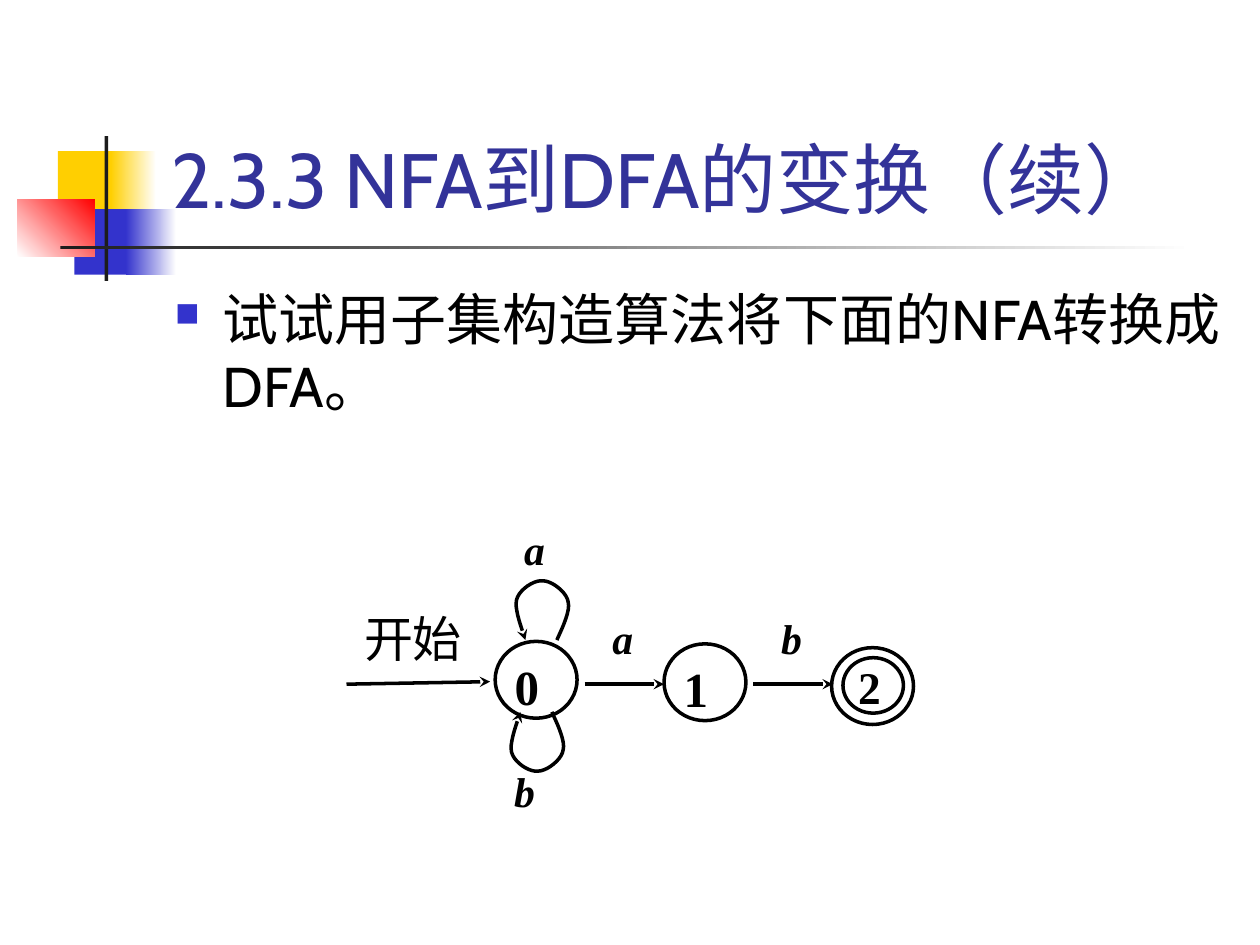
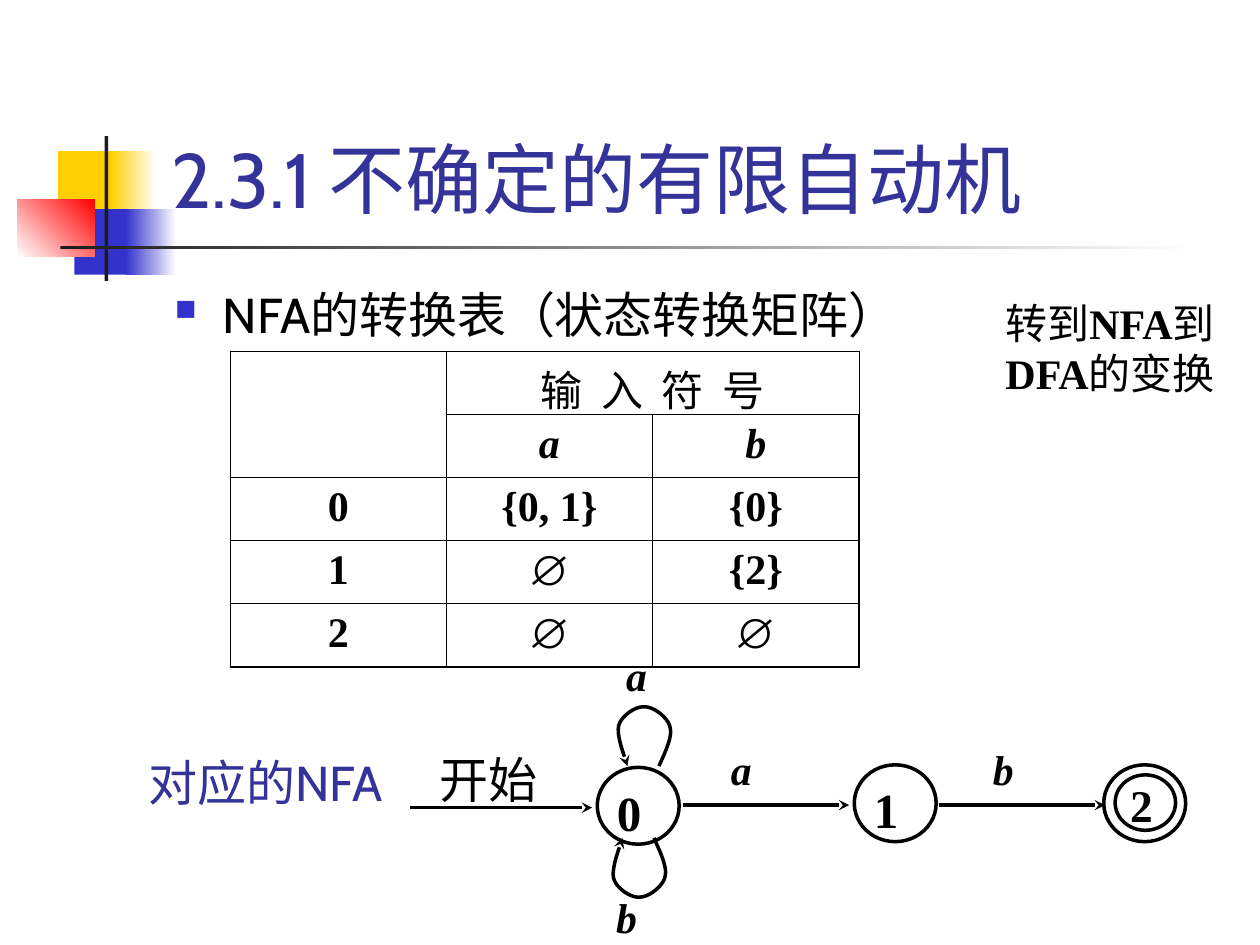
"""Build two slides on nondeterministic and deterministic automata."""
from typing import Any, NamedTuple

from lxml import etree
from pptx import Presentation
from pptx.dml.color import RGBColor
from pptx.enum.shapes import MSO_CONNECTOR, MSO_SHAPE
from pptx.enum.text import MSO_ANCHOR, MSO_AUTO_SIZE, PP_ALIGN
from pptx.oxml.ns import qn
from pptx.util import Inches, Pt

RECT, OVAL = MSO_SHAPE.RECTANGLE, MSO_SHAPE.OVAL
STRAIGHT = MSO_CONNECTOR.STRAIGHT
TOP, BOTTOM = MSO_ANCHOR.TOP, MSO_ANCHOR.BOTTOM
FIXED = MSO_AUTO_SIZE.NONE
LEFT, MIDDLE, JUSTIFY = PP_ALIGN.LEFT, PP_ALIGN.CENTER, PP_ALIGN.JUSTIFY

HUES = {"ink": "000000", "title": "333399", "blue": "3333CC", "gold": "FFCF01",
        "red": "FF0000", "dark": "1C1C1C", "white": "FFFFFF"}
HAN, SANS, SERIF = "Noto Sans CJK SC", "Cabin", "Times New Roman"

HEAD = {"name": SANS, "size": Pt(44), "hue": "title"}
BODY = {"name": SANS, "size": Pt(32)}
WORD = {"name": SERIF, "size": Pt(28)}
STATE = {**WORD, "bold": True}
FINAL = {**STATE, "size": Pt(25.9)}
EDGE = {"name": SERIF, "size": Pt(23.8), "bold": True, "italic": True}
CELL = {"name": SERIF, "size": Pt(24), "bold": True}
FLUSH = {"alignment": LEFT}
EVEN = {"alignment": JUSTIFY}
TIGHT = {"alignment": JUSTIFY, "line_spacing": 0.9}

WIDE = (0.1, 0.05, 0.1, 0.05)
SLIM = (0.06, 0.03, 0.06, 0.03)
RING = (0.06, 0.03, 0.02, 0.05)
CORE = (0.05, 0, 0.01, 0)

Point = tuple[float, float]
Paras = list[list[tuple[str, dict[str, Any]]]]


class Box(NamedTuple):
    """Place and size in inches."""
    x: float
    y: float
    w: float
    h: float


class Band(NamedTuple):
    """A block of the slide frame, fading when it has a second hue."""
    box: Box
    hue: str
    fade: str = ""
    turn: int = 0


class Graph(NamedTuple):
    """Places of the parts of one automaton."""
    states: tuple[Point, Point, Point]
    links: tuple[tuple[Point, Point], ...]
    start: Point
    notes: tuple[Point, Point]


BANDS = (
    Band(Box(0.46, 1.2, 0.48, 0.52), "gold"),
    Band(Box(0.88, 1.2, 0.36, 0.52), "gold", "white"),
    Band(Box(0.59, 1.66, 0.46, 0.52), "blue"),
    Band(Box(1, 1.66, 0.4, 0.52), "blue", "white"),
    Band(Box(0.14, 1.58, 0.61, 0.46), "white", "red", 45),
    Band(Box(0.83, 1.08, 0.03, 1.15), "dark"),
    Band(Box(0.48, 1.95, 9, 0.03), "dark", "white"),
)
LOOP = ((0.49, -0.01), (0.51, -0.06), (0.6, -0.23), (0.58, -0.31),
        (0.57, -0.39), (0.45, -0.48), (0.38, -0.48), (0.31, -0.49),
        (0.19, -0.41), (0.17, -0.33), (0.15, -0.25), (0.22, -0.08), (0.24, -0.01))
FIRST = Graph(((3.93, 5.09), (5.27, 5.11), (6.6, 5.14)),
              (((2.75, 5.43), (3.89, 5.41)), ((4.64, 5.43), (5.27, 5.43)),
               ((5.98, 5.43), (6.61, 5.43))),
              (2.83, 4.8), ((4.8, 4.88), (6.14, 4.88)))
SECOND = Graph(((4.74, 6.09), (6.78, 6.07), (8.76, 6.07)),
               (((3.25, 6.41), (4.7, 6.41)), ((5.42, 6.39), (6.74, 6.39)),
                ((7.45, 6.39), (8.77, 6.39))),
               (3.43, 5.92), ((5.74, 5.92), (7.82, 5.92)))
ROWS = (("", "输 入 符 号", ""), ("", "a", "b"), ("0", "{0, 1}", "{0}"),
        ("1", "∅", "{2}"), ("2", "∅", "∅"))


def tint(hue: str) -> RGBColor:
    """Look up a colour."""
    return RGBColor.from_string(HUES[hue])


def span(box: Box) -> tuple[int, ...]:
    """Turn a box into lengths."""
    return tuple(Inches(v) for v in box)


def dress(thing: Any, form: dict[str, Any]) -> None:
    """Set each format value on an object."""
    for key, value in form.items():
        setattr(thing, key, value)


def pad(thing: Any, gaps: tuple[float, ...]) -> None:
    """Set the four margins."""
    for side, gap in zip(("left", "top", "right", "bottom"), gaps):
        setattr(thing, f"margin_{side}", Inches(gap))


def write(frame: Any, paras: Paras, font: dict[str, Any], form: dict[str, Any]) -> None:
    """Fill a text frame with runs."""
    for i, parts in enumerate(paras):
        para = frame.paragraphs[0] if i == 0 else frame.add_paragraph()
        dress(para, form)
        for text, more in parts:
            run = para.add_run()
            run.text = text
            look = {"hue": "ink", **font, **more}
            run.font.color.rgb = tint(look.pop("hue"))
            dress(run.font, look)
            props = run._r.get_or_add_rPr()
            etree.SubElement(props, qn("a:ea"), typeface=HAN)


def label(slide: Any, box: Box, paras: Paras, font: dict[str, Any],
          form: dict[str, Any], gaps: tuple[float, ...] = SLIM) -> Any:
    """Add a text box."""
    frame = slide.shapes.add_textbox(*span(box)).text_frame
    frame.word_wrap = True
    pad(frame, gaps)
    write(frame, paras, font, form)
    return frame


def point(slide: Any, box: Box, text: str, size: float, gap: float) -> None:
    """Add a text with a square bullet."""
    frame = label(slide, box, [[(text, {})]], {**BODY, "size": Pt(size)},
                  {**FLUSH, "space_before": Pt(gap)}, WIDE)
    props = frame.paragraphs[0]._p.get_or_add_pPr()
    props.set("marL", str(Inches(0.38)))
    props.set("indent", str(-Inches(0.38)))
    paint = etree.SubElement(props, qn("a:buClr"))
    etree.SubElement(paint, qn("a:srgbClr"), val=HUES["blue"])
    etree.SubElement(props, qn("a:buSzPct"), val="60000")
    etree.SubElement(props, qn("a:buChar"), char="■")


def stroke(shape: Any, head: bool = False) -> None:
    """Draw a black outline, with an arrowhead if asked."""
    shape.line.color.rgb = tint("ink")
    shape.line.width = Pt(2)
    if head:
        line = shape._element.spPr.find(qn("a:ln"))
        etree.SubElement(line, qn("a:tailEnd"), type="stealth")


def ring(slide: Any, box: Box, text: str = "", font: dict[str, Any] = STATE,
         form: dict[str, Any] = FLUSH, gaps: tuple[float, ...] = RING) -> None:
    """Add a hollow circle with its number."""
    shape = slide.shapes.add_shape(OVAL, *span(box))
    shape.shadow.inherit = False
    shape.fill.background()
    stroke(shape)
    if text:
        frame = shape.text_frame
        dress(frame, {"word_wrap": True, "vertical_anchor": TOP})
        pad(frame, gaps)
        write(frame, [[(text, {})]], font, form)


def arrow(slide: Any, tail: Point, tip: Point) -> None:
    """Add a straight arrow."""
    line = slide.shapes.add_connector(STRAIGHT, *(Inches(v) for v in tail + tip))
    stroke(line, True)
    etree.SubElement(line._element.spPr, qn("a:effectLst"))


def bend(knots: list[Point], steps: int = 10) -> list[tuple[int, int]]:
    """Trace a chain of cubic curves."""
    trail = [knots[0]]
    for k in range(0, len(knots) - 1, 3):
        for n in range(1, steps + 1):
            t = n / steps
            mix = ((1 - t) ** 3, 3 * t * (1 - t) ** 2, 3 * t * t * (1 - t), t ** 3)
            trail.append(tuple(sum(m * p[axis] for m, p in zip(mix, knots[k:k + 4]))
                               for axis in (0, 1)))
    return [(Inches(x), Inches(y)) for x, y in trail]


def loop(slide: Any, x: float, y: float, below: bool) -> None:
    """Add a curved arrow above a state, or its mirror below."""
    knots = [(x + dx - 0.04, y + 0.55 - dy) if below else (x + dx, y + dy)
             for dx, dy in LOOP]
    trail = bend(knots)
    build = slide.shapes.build_freeform(*trail[0])
    build.add_line_segments(trail[1:], close=False)
    shape = build.convert_to_shape()
    shape.shadow.inherit = False
    shape.fill.background()
    stroke(shape, True)


def draw(slide: Any, graph: Graph) -> None:
    """Draw an automaton of three states."""
    zero, one, two = graph.states
    for spot, text in ((zero, "0"), (one, "1"), (two, "")):
        ring(slide, Box(*spot, 0.65, 0.61), text)
    ring(slide, Box(two[0] + 0.09, two[1] + 0.08, 0.48, 0.44), "2", FINAL, TIGHT, CORE)
    for tail, tip in graph.links:
        arrow(slide, tail, tip)
    for below in (False, True):
        loop(slide, *zero, below)
    x, y = zero
    spots = (*graph.notes, (x + 0.17, y - 0.92), (x + 0.09, y + 1))
    for spot, text in zip(spots, "abab"):
        label(slide, Box(*spot, 0.53, 0.49), [[(text, {})]], EDGE, TIGHT)
    label(slide, Box(*graph.start, 1.06, 0.57), [[("开始", {})]], WORD, EVEN)


def edge(cell: Any, sides: dict[str, float]) -> None:
    """Set the border widths of a cell."""
    props = cell._tc.get_or_add_tcPr()
    for side, width in sides.items():
        line = etree.SubElement(props, qn(f"a:ln{side}"), w=str(Pt(width)))
        paint = etree.SubElement(line, qn("a:solidFill"))
        etree.SubElement(paint, qn("a:srgbClr"), val=HUES["ink"])


def moves(slide: Any) -> None:
    """Add the transition table."""
    table = slide.shapes.add_table(5, 3, *span(Box(1.83, 2.79, 5, 2.38))).table
    dress(table, {"first_row": False, "horz_banding": False})
    for col, width in zip(table.columns, (1.71, 1.64, 1.64)):
        col.width = Inches(width)
    for row, height in zip(table.rows, (0.46, 0.46, 0.48, 0.48, 0.48)):
        row.height = Inches(height)
    table.cell(0, 0).merge(table.cell(1, 0))
    table.cell(0, 1).merge(table.cell(0, 2))
    for r, texts in enumerate(ROWS):
        for c, text in enumerate(texts):
            cell = table.cell(r, c)
            outer = {"L": c == 0, "R": c == 2, "T": r == 0, "B": r == 4}
            edge(cell, {side: 1.08 if out else 0.45 for side, out in outer.items()})
            cell.fill.background()
            pad(cell, (0.06, 0.05, 0.06, 0.05))
            if text:
                more = {"italic": r == 1, "bold": r > 0}
                if r == 0:
                    more["name"] = HAN
                elif text == "∅":
                    more["name"] = "Arial"
                write(cell.text_frame, [[(text, more)]], CELL,
                      {"alignment": MIDDLE, "space_before": Pt(6)})
    head = table.cell(0, 1).text_frame.paragraphs[0].runs[0]
    head._r.get_or_add_rPr().set("spc", "270")


def page(deck: Any, text: str) -> Any:
    """Add a slide with the shared frame and title."""
    slide = deck.slides.add_slide(deck.slide_layouts[5])
    for band in BANDS:
        shape = slide.shapes.add_shape(RECT, *span(band.box))
        shape.shadow.inherit = False
        shape.line.fill.background()
        if band.fade:
            shape.fill.gradient()
            shape.fill.gradient_angle = band.turn
            for stop, hue in zip(shape.fill.gradient_stops, (band.hue, band.fade)):
                stop.color.rgb = tint(hue)
        else:
            shape.fill.solid()
            shape.fill.fore_color.rgb = tint(band.hue)
    title = slide.shapes.title
    dress(title, dict(zip(("left", "top", "width", "height"),
                          span(Box(1.26, 0.23, 8.52, 1.6)))))
    dress(title.text_frame, {"word_wrap": True, "auto_size": FIXED,
                             "vertical_anchor": BOTTOM})
    write(title.text_frame, [[(text, {})]], HEAD, FLUSH)
    slide.shapes._spTree.append(title._element)
    return slide


def main() -> None:
    """Build and save the deck."""
    deck = Presentation()
    deck.slide_width, deck.slide_height = Inches(10), Inches(7.5)

    slide = page(deck, "2.3.3 NFA到DFA的变换（续）")
    point(slide, Box(1.29, 2.21, 8.5, 4.5), "试试用子集构造算法将下面的NFA转换成DFA。", 32, 8)
    draw(slide, FIRST)

    slide = page(deck, "2.3.1 不确定的有限自动机")
    point(slide, Box(1.29, 2.21, 6.37, 4.5), "NFA的转换表（状态转换矩阵）", 28, 7)
    moves(slide)
    draw(slide, SECOND)
    label(slide, Box(1.08, 5.92, 2.33, 0.57), [[("对应的", {"name": HAN}), ("NFA", {})]],
          {**BODY, "size": Pt(28), "hue": "title"},
          {**FLUSH, "space_before": Pt(17.5)}, WIDE)
    label(slide, Box(7.92, 2.33, 1.8, 0.86),
          [[("转到", {"bold": False}), ("NFA", {}), ("到", {"bold": False})],
           [("DFA", {}), ("的变换", {"bold": False})]], CELL, EVEN)
    deck.save("out.pptx")


if __name__ == "__main__":
    main()
